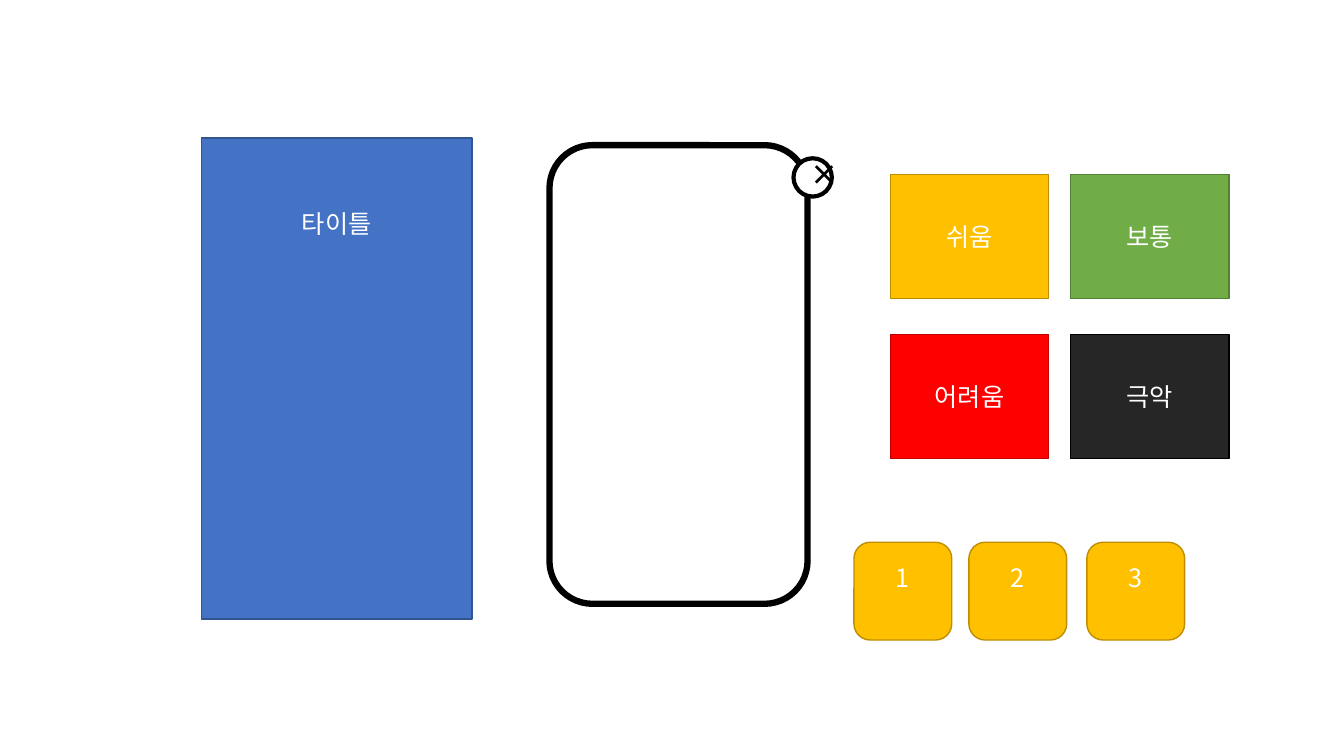
from lxml.etree import SubElement
from pptx import Presentation
from pptx.dml.color import RGBColor
from pptx.enum.shapes import MSO_SHAPE as Preset
from pptx.enum.text import MSO_ANCHOR as Anchor, MSO_AUTO_SIZE as AutoSize, PP_ALIGN as Align
from pptx.oxml.ns import qn
from pptx.util import Pt

PX = 9144
FONT = "Noto Sans CJK KR"


def px(*lengths):
    return [length * PX for length in lengths]


def color(value):
    return RGBColor.from_string(value)


def write_text(shape, text, size=18, ink="FFFFFF", bold=False, anchor=Anchor.MIDDLE, top=5):
    frame = shape.text_frame
    frame.word_wrap = True
    frame.vertical_anchor = anchor
    frame.margin_top = top * PX
    paragraph = frame.paragraphs[0]
    paragraph.alignment = Align.CENTER
    run = paragraph.add_run()
    run.text = text
    run.font.name = FONT
    run.font.size = Pt(size)
    run.font.bold = bold
    run.font.color.rgb = color(ink)
    SubElement(run.font._element, qn("a:ea"), typeface=FONT)


def add_box(shapes, preset, bounds, fill, border, weight=1):
    shape = shapes.add_shape(preset, *px(*bounds))
    shape.shadow.inherit = False
    shape.fill.solid()
    shape.fill.fore_color.rgb = color(fill)
    shape.line.color.rgb = color(border)
    shape.line.width = Pt(weight)
    return shape


def add_close_button(shapes):
    group = shapes.add_group_shape()
    add_box(group.shapes, Preset.OVAL, (787, 157, 38, 38), "FFFFFF", "000000", 3)
    cross = group.shapes.add_textbox(*px(794, 151, 24, 44))
    write_text(cross, "×", size=20, ink="000000", bold=True, anchor=Anchor.TOP)
    cross.text_frame.auto_size = AutoSize.SHAPE_TO_FIT_TEXT


def add_difficulty_buttons(shapes):
    levels = [
        ("쉬움", "FFC000", "BD8E00"),
        ("보통", "70AD47", "538035"),
        ("어려움", "FF0000", "C00000"),
        ("극악", "262626", "000000"),
    ]
    for index, (label, fill, border) in enumerate(levels):
        row, column = divmod(index, 2)
        bounds = (883 + column * 179, 173 + row * 159, 157, 123)
        write_text(add_box(shapes, Preset.RECTANGLE, bounds, fill, border), label)


def add_number_buttons(shapes):
    for number, left in enumerate((847, 961, 1078), start=1):
        button = add_box(shapes, Preset.ROUNDED_RECTANGLE, (left, 538, 97, 97), "FFC000", "BD8E00")
        write_text(button, str(number), anchor=Anchor.TOP, top=15)


def main():
    presentation = Presentation()
    presentation.slide_width, presentation.slide_height = px(1333, 750)
    slide = presentation.slides.add_slide(presentation.slide_layouts[6])
    shapes = slide.shapes
    title_screen = add_box(shapes, Preset.RECTANGLE, (200, 137, 268, 477), "4472C4", "325491")
    write_text(title_screen, "타이틀", anchor=Anchor.TOP, top=70)
    add_box(shapes, Preset.ROUNDED_RECTANGLE, (545, 144, 256, 455), "FFFFFF", "000000", 4.5)
    add_close_button(shapes)
    add_difficulty_buttons(shapes)
    add_number_buttons(shapes)
    presentation.save("out.pptx")


if __name__ == "__main__":
    main()
